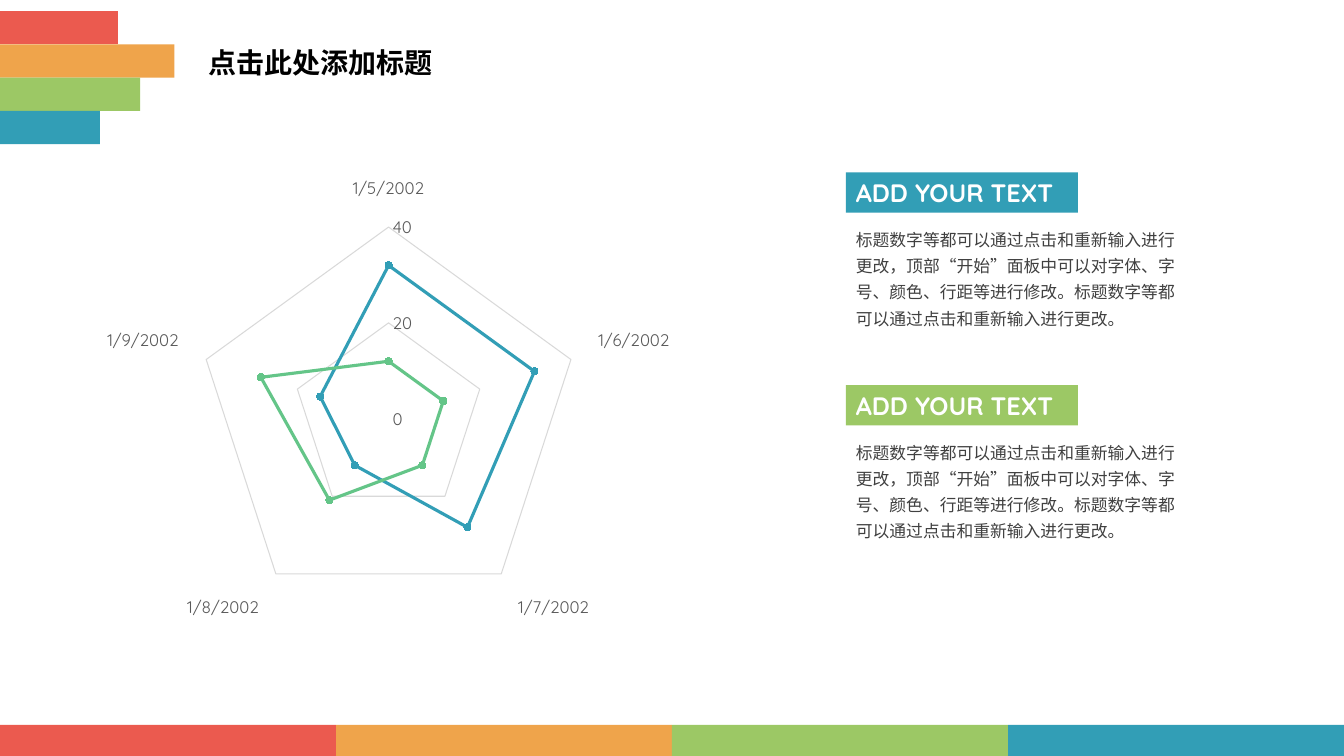
from typing import NamedTuple

from lxml import etree
from pptx import Presentation
from pptx.chart.data import CategoryChartData
from pptx.dml.color import RGBColor
from pptx.enum.chart import XL_CHART_TYPE as ChartType
from pptx.enum.chart import XL_MARKER_STYLE as Marker
from pptx.enum.chart import XL_TICK_MARK as TickMark
from pptx.enum.shapes import MSO_SHAPE as Preset
from pptx.enum.text import MSO_ANCHOR as Anchor
from pptx.enum.text import MSO_AUTO_SIZE as AutoSize
from pptx.enum.text import PP_ALIGN as Align
from pptx.oxml.ns import qn
from pptx.util import Inches, Pt

RED = RGBColor(0xEB, 0x5A, 0x4F)
ORANGE = RGBColor(0xEF, 0xA4, 0x4B)
LIME = RGBColor(0x9C, 0xC8, 0x65)
TEAL = RGBColor(0x32, 0x9E, 0xB6)
GREEN = RGBColor(0x64, 0xC5, 0x88)
BLACK = RGBColor(0, 0, 0)
WHITE = RGBColor(0xFF, 0xFF, 0xFF)
BODY_GREY = RGBColor(0x40, 0x40, 0x40)
LABEL_GREY = RGBColor(0x59, 0x59, 0x59)
GRID_GREY = RGBColor(0xD9, 0xD9, 0xD9)
LATIN = "Quicksand"
CHINESE = "Noto Sans CJK SC"

SLIDE_WIDTH, SLIDE_HEIGHT = 13.33, 7.5
STRIPE_HEIGHT = 0.33
FOOTER_HEIGHT = 0.31
HEADING_WIDTH = 2.3  # holds the heading on one line
FIRST_DAY = 37261  # serial number of 1/5/2002
DATE_FORMAT = "m/d/yyyy"
EXPLANATION = (
    "标题数字等都可以通过点击和重新输入进行更改，顶部“开始”面板中可以对字体、字号、颜色、行距等进行修改。"
    "标题数字等都可以通过点击和重新输入进行更改。"
)


class Box(NamedTuple):
    left: float
    top: float
    width: float
    height: float

    def lengths(self) -> list:
        return [Inches(value) for value in self]


class Stripe(NamedTuple):
    width: float
    color: RGBColor


class Series(NamedTuple):
    name: str
    values: tuple
    color: RGBColor


class Topic(NamedTuple):
    top: float
    color: RGBColor


STRIPES = [Stripe(1.17, RED), Stripe(1.73, ORANGE), Stripe(1.39, LIME), Stripe(0.99, TEAL)]
SERIES = [
    Series("Series 1", (32, 32, 28, 12, 15), TEAL),
    Series("Series 2", (12, 12, 12, 21, 28), GREEN),
]
TOPICS = [Topic(1.71, TEAL), Topic(3.82, LIME)]


def set_font(font, size: float, name: str, color: RGBColor, bold: bool = False) -> None:
    for attribute, value in {"size": Pt(size), "name": name, "bold": bold}.items():
        setattr(font, attribute, value)
    font.color.rgb = color


def add_bar(slide, box: Box, color: RGBColor):
    bar = slide.shapes.add_shape(Preset.RECTANGLE, *box.lengths())
    bar.shadow.inherit = False
    bar.fill.solid()
    bar.fill.fore_color.rgb = color
    bar.line.fill.background()
    return bar


def write(shape, text: str, frame_format: dict, paragraph_format: dict, **font) -> None:
    """Fill a shape with one left-aligned paragraph."""
    frame = shape.text_frame
    for attribute, value in {"word_wrap": True, **frame_format}.items():
        setattr(frame, attribute, value)
    paragraph = frame.paragraphs[0]
    for attribute, value in {"alignment": Align.LEFT, **paragraph_format}.items():
        setattr(paragraph, attribute, value)
    run = paragraph.add_run()
    run.text = text
    set_font(run.font, **font)
    if font["name"] == CHINESE:
        east_asian = etree.SubElement(run.font._element, qn("a:ea"))
        east_asian.set("typeface", CHINESE)


def add_bands(slide) -> None:
    """Draw the stripes in the corner and the footer in the same colours."""
    footer_width = SLIDE_WIDTH / len(STRIPES)
    footer_top = SLIDE_HEIGHT - FOOTER_HEIGHT
    for index, stripe in enumerate(STRIPES):
        top = 0.11 + index * STRIPE_HEIGHT
        add_bar(slide, Box(0, top, stripe.width, STRIPE_HEIGHT), stripe.color)
        footer = Box(index * footer_width, footer_top, footer_width, FOOTER_HEIGHT)
        add_bar(slide, footer, stripe.color)


def set_plot_layout(chart, box: Box) -> None:
    """Fix the inner plot area, given in fractions of the chart."""
    plot_area = chart._chartSpace.chart.plotArea
    for old_layout in plot_area.findall(qn("c:layout")):
        plot_area.remove(old_layout)
    layout = etree.Element(qn("c:layout"))
    plot_area.insert(0, layout)
    manual = etree.SubElement(layout, qn("c:manualLayout"))
    settings = {"layoutTarget": "inner", "xMode": "edge", "yMode": "edge"}
    settings.update(zip("xywh", map(str, box)))
    for tag, value in settings.items():
        etree.SubElement(manual, qn(f"c:{tag}")).set("val", value)


def add_radar(slide, box: Box) -> None:
    data = CategoryChartData(number_format="General")
    data.categories = range(FIRST_DAY, FIRST_DAY + 5)
    data.categories.number_format = DATE_FORMAT
    for series in SERIES:
        data.add_series(series.name, series.values)
    frame = slide.shapes.add_chart(ChartType.RADAR_MARKERS, *box.lengths(), data)
    chart = frame.chart
    chart.has_legend = False
    chart.has_title = False
    set_font(chart.font, 10, LATIN, BLACK)
    set_plot_layout(chart, Box(0.2, 0.06, 0.58, 0.87))
    chart.plots[0].vary_by_categories = False

    dates, values = chart.category_axis, chart.value_axis
    for axis in (dates, values):
        axis.major_tick_mark = axis.minor_tick_mark = TickMark.NONE
        set_font(axis.tick_labels.font, 12, LATIN, LABEL_GREY)
    dates.has_major_gridlines = False
    dates.tick_labels.number_format = DATE_FORMAT
    dates.tick_labels.number_format_is_linked = False
    scale = {"minimum_scale": 0, "maximum_scale": 40, "major_unit": 20, "has_major_gridlines": True}
    for attribute, value in scale.items():
        setattr(values, attribute, value)
    values.format.line.fill.background()
    for line in (dates.format.line, values.major_gridlines.format.line):
        line.color.rgb = GRID_GREY
        line.width = Pt(0.75)

    for plotted, series in zip(chart.plots[0].series, SERIES):
        plotted.smooth = False
        plotted.format.line.color.rgb = series.color
        plotted.format.line.width = Pt(2.25)
        plotted.marker.style = Marker.CIRCLE
        plotted.marker.size = 5
        plotted.marker.format.fill.solid()
        plotted.marker.format.fill.fore_color.rgb = series.color
        plotted.marker.format.line.color.rgb = series.color


def add_topic(slide, topic: Topic) -> None:
    heading = add_bar(slide, Box(8.39, topic.top, HEADING_WIDTH, 0.4), topic.color)
    write(heading, "ADD YOUR TEXT", {"vertical_anchor": Anchor.TOP}, {},
          size=18, name=LATIN, color=WHITE, bold=True)
    explanation = slide.shapes.add_textbox(*Box(8.39, topic.top + 0.46, 3.39, 1.15).lengths())
    write(explanation, EXPLANATION, {"auto_size": AutoSize.SHAPE_TO_FIT_TEXT},
          {"line_spacing": 1.3}, size=12, name=CHINESE, color=BODY_GREY)


def main() -> None:
    presentation = Presentation()
    presentation.slide_width = Inches(SLIDE_WIDTH)
    presentation.slide_height = Inches(SLIDE_HEIGHT)
    slide = presentation.slides.add_slide(presentation.slide_layouts[6])
    add_bands(slide)
    title = slide.shapes.add_textbox(*Box(1.97, 0.35, 4.88, 0.58).lengths())
    write(title, "点击此处添加标题", {"vertical_anchor": Anchor.MIDDLE},
          {"line_spacing": 0.9}, size=20, name=CHINESE, color=BLACK, bold=True)
    add_radar(slide, Box(0.64, 1.71, 6.56, 4.94))
    for topic in TOPICS:
        add_topic(slide, topic)
    presentation.save("out.pptx")


if __name__ == "__main__":
    main()
